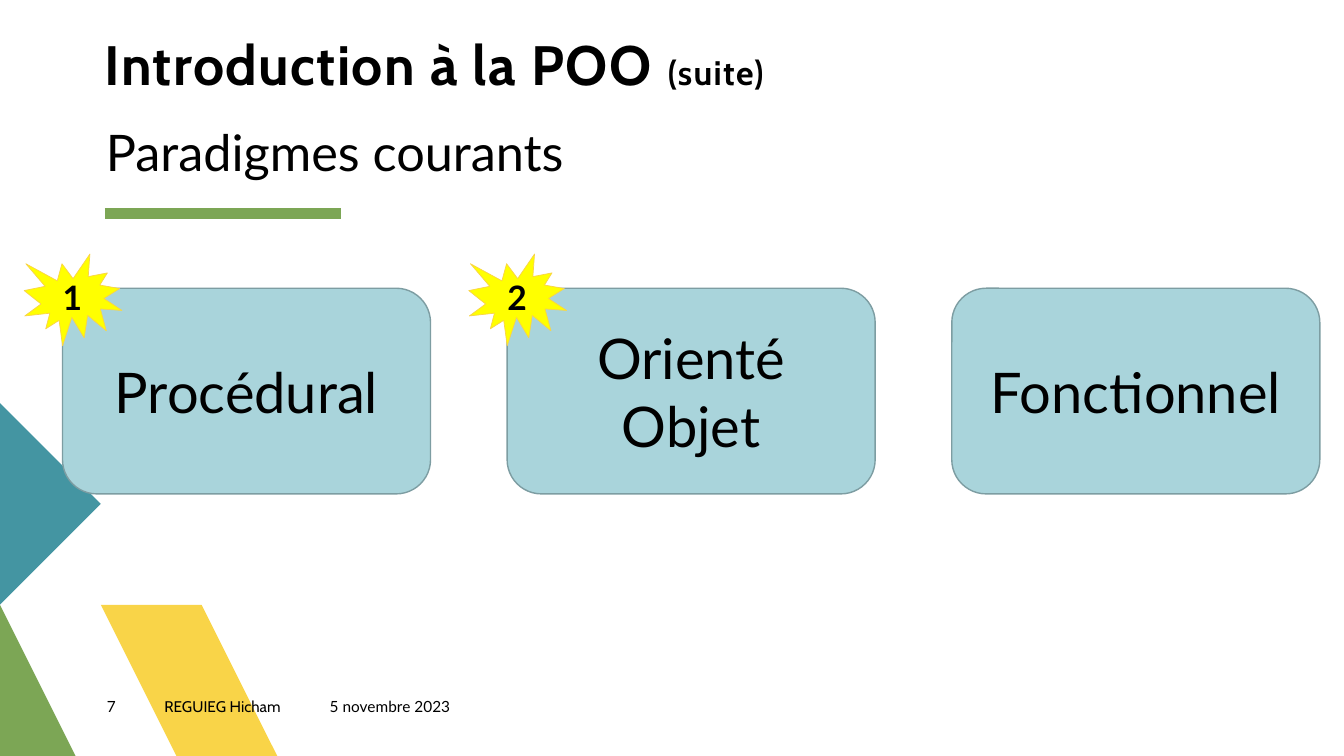
from lxml import etree
from pptx import Presentation
from pptx.dml.color import RGBColor
from pptx.enum import shapes, text
from pptx.oxml.ns import qn
from pptx.util import Inches, Pt

BLACK, TEAL, GREEN, YELLOW = "000000", "4495A2", "7CA655", "F9D448"
CARD_FILL, CARD_LINE, BADGE_FILL = "A9D4DB", "7D9DA2", "FFFF00"


def color(value):
    """Turn a hex string into a colour."""
    return RGBColor.from_string(value)


def style_run(run, size, font="Lato", bold=False, spacing=0):
    """Format one run, with letter spacing in points."""
    run.font.size = Pt(size)
    run.font.name = font
    run.font.bold = bold
    run.font.color.rgb = color(BLACK)
    if spacing:
        run.font._element.set("spc", str(spacing * 100))


def add_text(slide, box, content, size, font="Lato"):
    """Add a text box without margins and return its paragraph."""
    shape = slide.shapes.add_textbox(*map(Inches, box))
    frame = shape.text_frame
    frame.word_wrap = True
    frame.margin_left = frame.margin_right = 0
    frame.margin_top = frame.margin_bottom = 0
    frame.text = content
    paragraph = frame.paragraphs[0]
    style_run(paragraph.runs[0], size, font)
    return paragraph


def add_polygon(slide, points, fill):
    """Add a filled outline through points given in inches."""
    builder = slide.shapes.build_freeform(*points[0], scale=Inches(1))
    builder.add_line_segments(points[1:], close=True)
    shape = builder.convert_to_shape()
    shape.shadow.inherit = False
    shape.fill.solid()
    shape.fill.fore_color.rgb = color(fill)
    shape.line.fill.background()


def add_label_shape(slide, kind, box, label, size, fill, line, width, bold=False):
    """Add a preset shape with a centred label."""
    shape = slide.shapes.add_shape(kind, *map(Inches, box))
    shape.shadow.inherit = False
    shape.fill.solid()
    shape.fill.fore_color.rgb = color(fill)
    shape.line.color.rgb = color(line)
    shape.line.width = Pt(width)
    frame = shape.text_frame
    frame.word_wrap = True
    frame.vertical_anchor = text.MSO_ANCHOR.MIDDLE
    frame.text = label
    paragraph = frame.paragraphs[0]
    paragraph.alignment = text.PP_ALIGN.CENTER
    style_run(paragraph.runs[0], size, bold=bold)


def add_corner(slide, left, bottom, unit):
    """Draw the diagonal pieces of the lower left corner."""
    add_polygon(slide, [(left + 2 * unit + 1.12, bottom), (left + 2 * unit + 0.03, bottom),
                        (left + unit, bottom - 1.09), (left + unit + 0.55, bottom - 1.63)], YELLOW)
    add_polygon(slide, [(left + unit, bottom), (left, bottom), (left, bottom - unit)], GREEN)
    top = bottom - 3.23
    add_polygon(slide, [(left, top), (left + unit, top + unit), (left, top + 2 * unit)], TEAL)


def add_heading(slide, left, top, width):
    """Place the title, the subtitle and the green rule."""
    title = add_text(slide, (left, top, width, 0.67), "Introduction à la POO ", 39.6, "Cabin")
    title.line_spacing = 0.9
    title.add_run().text = "(suite)"
    for run, size in zip(title.runs, (39.6, 24.3)):
        style_run(run, size, "Cabin", bold=True, spacing=1)
    title._p.getparent().find(qn("a:bodyPr")).set("anchor", "b")
    add_text(slide, (left + 0.01, top + 0.9, width, 0.67), "Paradigmes courants", 36)
    y = Inches(top + 1.82)
    rule = slide.shapes.add_connector(
        shapes.MSO_CONNECTOR.STRAIGHT, Inches(left), y, Inches(left + 2.34), y)
    rule.line.color.rgb = color(GREEN)
    rule.line.width = Pt(8)
    etree.SubElement(rule._element.spPr, qn("a:effectLst"))


def add_cards(slide, left, top, width, height, pitch):
    """Place the paradigm cards in a row, then the numbered badges."""
    for index, label in enumerate(("Procédural", "Orienté Objet", "Fonctionnel")):
        add_label_shape(slide, shapes.MSO_SHAPE.ROUNDED_RECTANGLE,
                        (left + index * pitch, top, width, height),
                        label, 40, CARD_FILL, CARD_LINE, 1)
    for index, number in enumerate("12"):
        add_label_shape(slide, shapes.MSO_SHAPE.EXPLOSION1,
                        (left - 0.38 + index * pitch, top - 0.34, 0.97, 0.91),
                        number, 24, BADGE_FILL, YELLOW, 0.5, bold=True)


def add_footer(slide, left, top, height):
    """Place the page number, the author and the date side by side."""
    for content, width, font in (("7", 0.57, "Lato"), ("REGUIEG Hicham", 1.64, "Cabin"),
                                 ("5 novembre 2023", 1.44, "Lato")):
        add_text(slide, (left, top, width, height), content, 11, font)
        left += width


def main():
    """Build the slide and save it."""
    presentation = Presentation()
    presentation.slide_width = Inches(13.33)
    presentation.slide_height = Inches(7.5)
    slide = presentation.slides.add_slide(presentation.slide_layouts[6])
    add_corner(slide, 0, 7.5, 1.06)
    add_heading(slide, 1.04, 0.3, 6.7)
    add_footer(slide, 1.06, 6.92, 0.27)
    add_cards(slide, 0.62, 2.86, 3.65, 2.04, 4.41)
    presentation.save("out.pptx")


if __name__ == "__main__":
    main()
